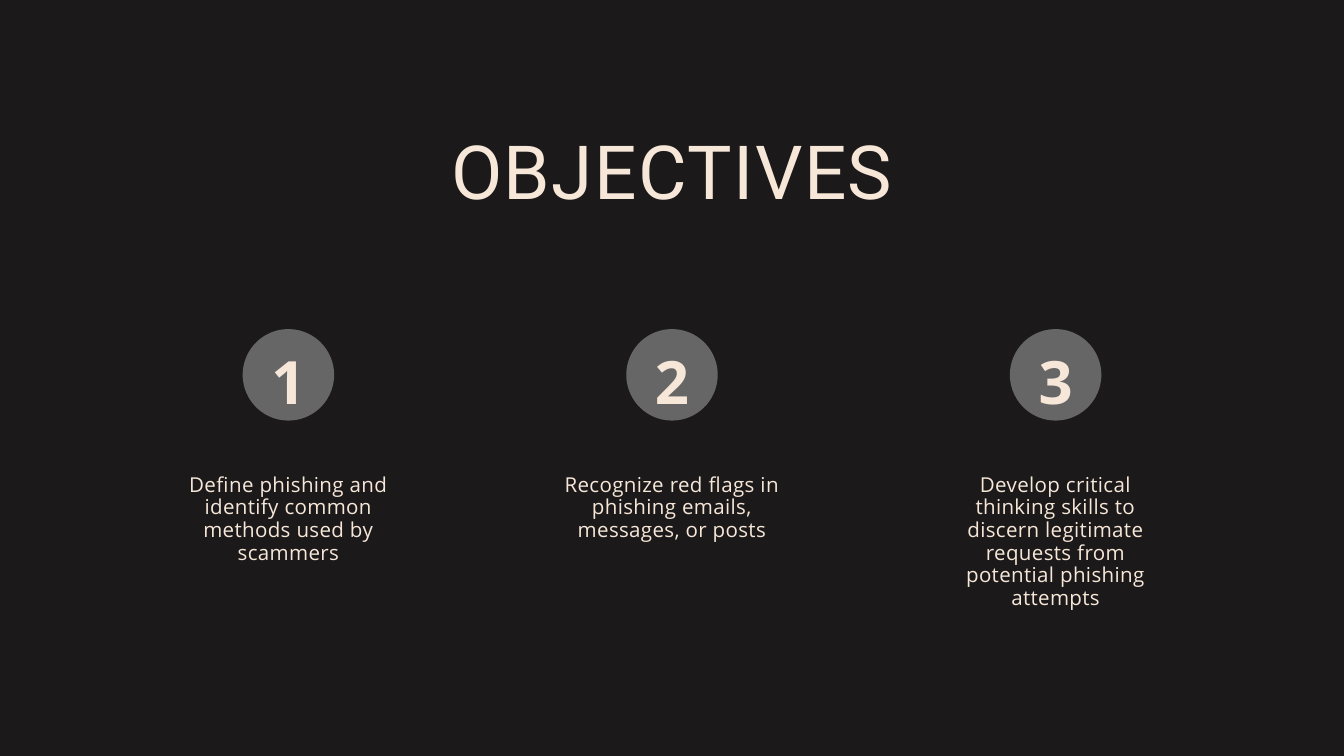
from dataclasses import dataclass

from pptx import Presentation
from pptx.dml.color import RGBColor
from pptx.enum import shapes, text
from pptx.util import Pt

HUES = {"back": "1C191A", "cream": "F6E7D8", "disc": "666666"}
WIDE, HIGH = 1440, 810
MID, STEP = WIDE / 2, 411
DISC = 98


@dataclass(frozen=True)
class Style:
    font: str
    size: float
    lead: float
    track: float
    bold: bool = False


@dataclass(frozen=True)
class Goal:
    mark: str
    note: str


HEAD = Style("Roboto", 80, 96, 1.6)
MARK = Style("Open Sans", 64, 100.5, 3.2, True)
NOTE = Style("Open Sans", 22, 24.2, 0.4)

GOALS = [
    Goal("1", "Define phishing and identify common methods used by scammers"),
    Goal("2", "Recognize red flags in phishing emails, messages, or posts"),
    Goal("3", "Develop critical thinking skills to discern legitimate "
              "requests from potential phishing attempts"),
]


def hue(name: str) -> RGBColor:
    return RGBColor.from_string(HUES[name])


def area(mid: float, top: float, wide: float, high: float) -> tuple:
    """Left, top, width and height of a box centred on mid."""
    return Pt(mid - wide / 2), Pt(top), Pt(wide), Pt(high)


def write(shape, words: str, style: Style) -> None:
    frame = shape.text_frame
    frame.margin_left = frame.margin_right = 0
    frame.margin_top = frame.margin_bottom = 0
    frame.word_wrap = True
    frame.auto_size = text.MSO_AUTO_SIZE.NONE
    frame.vertical_anchor = text.MSO_ANCHOR.TOP
    para = frame.paragraphs[0]
    para.alignment = text.PP_ALIGN.CENTER
    para.line_spacing = Pt(style.lead)
    para.space_before = Pt(0)
    run = para.add_run()
    run.text = words
    font = run.font
    font.name, font.size, font.bold = style.font, Pt(style.size), style.bold
    font.color.rgb = hue("cream")
    run._r.get_or_add_rPr().set("spc", str(round(style.track * 100)))


def draw_goal(slide, goal: Goal, mid: float) -> None:
    note = slide.shapes.add_textbox(*area(mid, 507.6, 235.4, 145))
    write(note, goal.note, NOTE)
    badge = slide.shapes.add_group_shape().shapes
    disc = badge.add_shape(shapes.MSO_SHAPE.OVAL, *area(mid, 352.6, DISC, DISC))
    disc.shadow.inherit = False
    disc.fill.solid()
    disc.fill.fore_color.rgb = hue("disc")
    disc.line.fill.background()
    mark = badge.add_textbox(*area(mid, 345.6, DISC, 94.3))
    write(mark, goal.mark, MARK)


def main() -> None:
    deck = Presentation()
    deck.slide_width, deck.slide_height = Pt(WIDE), Pt(HIGH)
    slide = deck.slides.add_slide(deck.slide_layouts.get_by_name("Title Only"))
    slide.background.fill.solid()
    slide.background.fill.fore_color.rgb = hue("back")

    title = slide.shapes.title
    title.left, title.top, title.width, title.height = area(MID, 133.2, 855.4, 97.2)
    write(title, "OBJECTIVES", HEAD)

    for spot, goal in enumerate(GOALS, start=-1):
        draw_goal(slide, goal, MID + spot * STEP)
    deck.save("out.pptx")


if __name__ == "__main__":
    main()
